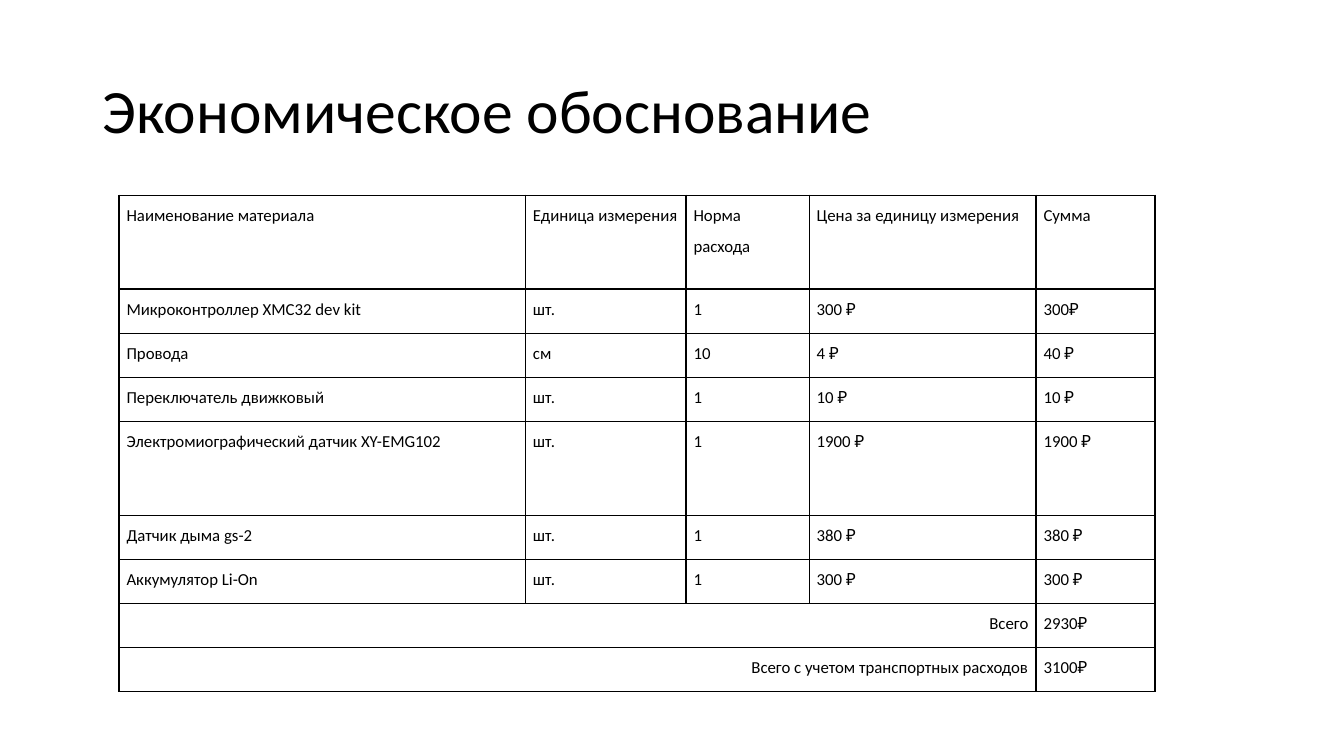
import pptx
import pptx.dml.color
import pptx.enum.text
import pptx.oxml.ns
import pptx.util
from lxml import etree

Pt = pptx.util.Pt
ALIGN = pptx.enum.text.PP_ALIGN

# Content
TITLE = "Экономическое обоснование"
HEADINGS = ("Наименование материала", "Единица измерения", "Норма расхода",
            "Цена за единицу измерения", "Сумма")
MATERIALS = [
    ("Микроконтроллер XMC32 dev kit", "шт.", "1", "300 ₽", "300₽"),
    ("Провода", "см", "10", "4 ₽", "40 ₽"),
    ("Переключатель движковый", "шт.", "1", "10 ₽", "10 ₽"),
    ("Электромиографический датчик XY-EMG102", "шт.", "1", "1900 ₽", "1900 ₽"),
    ("Датчик дыма gs-2", "шт.", "1", "380 ₽", "380 ₽"),
    ("Аккумулятор Li-On", "шт.", "1", "300 ₽", "300 ₽"),
]
TOTALS = [("Всего", "2930₽"), ("Всего с учетом транспортных расходов", "3100₽")]

# Layout in points
TITLE_BOX = (66, 28.75, 828, 104.4)
TABLE_LEFT, TABLE_TOP = 85, 139.5
COLUMN_WIDTHS = (290.3, 114.7, 88, 162, 85)
ROW_HEIGHT, TALL_HEIGHT = 31.5, 67
TALL_ROWS = (0, 4)
FONT, BLACK = "Calibri", "000000"


def color(hex_value):
    return pptx.dml.color.RGBColor.from_string(hex_value)


def style_paragraph(paragraph, size, spacing, alignment):
    paragraph.alignment = alignment
    paragraph.line_spacing = spacing
    paragraph.font.name = FONT
    paragraph.font.size = Pt(size)
    paragraph.font.bold = False
    paragraph.font.color.rgb = color(BLACK)


def add_borders(cell):
    properties = cell._tc.get_or_add_tcPr()
    qn = pptx.oxml.ns.qn
    for position, side in enumerate(("lnL", "lnR", "lnT", "lnB")):
        line = etree.Element(qn("a:" + side), w=str(Pt(1)))
        fill = etree.SubElement(line, qn("a:solidFill"))
        etree.SubElement(fill, qn("a:srgbClr"), val=BLACK)
        properties.insert(position, line)


def fill_cell(cell, text, alignment):
    cell.margin_left = cell.margin_right = Pt(5.4)
    cell.margin_top = cell.margin_bottom = 0
    cell.text = text
    style_paragraph(cell.text_frame.paragraphs[0], 12, 1.5, alignment)
    cell.fill.background()
    add_borders(cell)


presentation = pptx.Presentation()
presentation.slide_width, presentation.slide_height = Pt(960), Pt(540)
slide = presentation.slides.add_slide(presentation.slide_layouts[5])

# Title
title = slide.shapes.title
title.left, title.top, title.width, title.height = map(Pt, TITLE_BOX)
title.text = TITLE
title.text_frame.vertical_anchor = pptx.enum.text.MSO_ANCHOR.MIDDLE
style_paragraph(title.text_frame.paragraphs[0], 44, 0.9, ALIGN.LEFT)

# Cost table
rows = [HEADINGS, *MATERIALS] + [(label, "", "", "", total) for label, total in TOTALS]
heights = [TALL_HEIGHT if index in TALL_ROWS else ROW_HEIGHT for index in range(len(rows))]
table = slide.shapes.add_table(len(rows), len(COLUMN_WIDTHS), Pt(TABLE_LEFT), Pt(TABLE_TOP),
                               Pt(sum(COLUMN_WIDTHS)), Pt(sum(heights))).table
table.first_row = table.horz_banding = False
for column, width in zip(table.columns, COLUMN_WIDTHS):
    column.width = Pt(width)
for row, height in zip(table.rows, heights):
    row.height = Pt(height)

first_total = len(rows) - len(TOTALS)
for row_index, values in enumerate(rows):
    for column_index, text in enumerate(values):
        if row_index >= first_total and column_index == 0:
            alignment = ALIGN.RIGHT
        elif row_index == 0 and column_index >= 3:
            alignment = ALIGN.LEFT
        else:
            alignment = ALIGN.JUSTIFY
        fill_cell(table.cell(row_index, column_index), text, alignment)

# Total labels span all columns but the last
for row_index in range(first_total, len(rows)):
    table.cell(row_index, 0).merge(table.cell(row_index, 3))

presentation.save("out.pptx")
